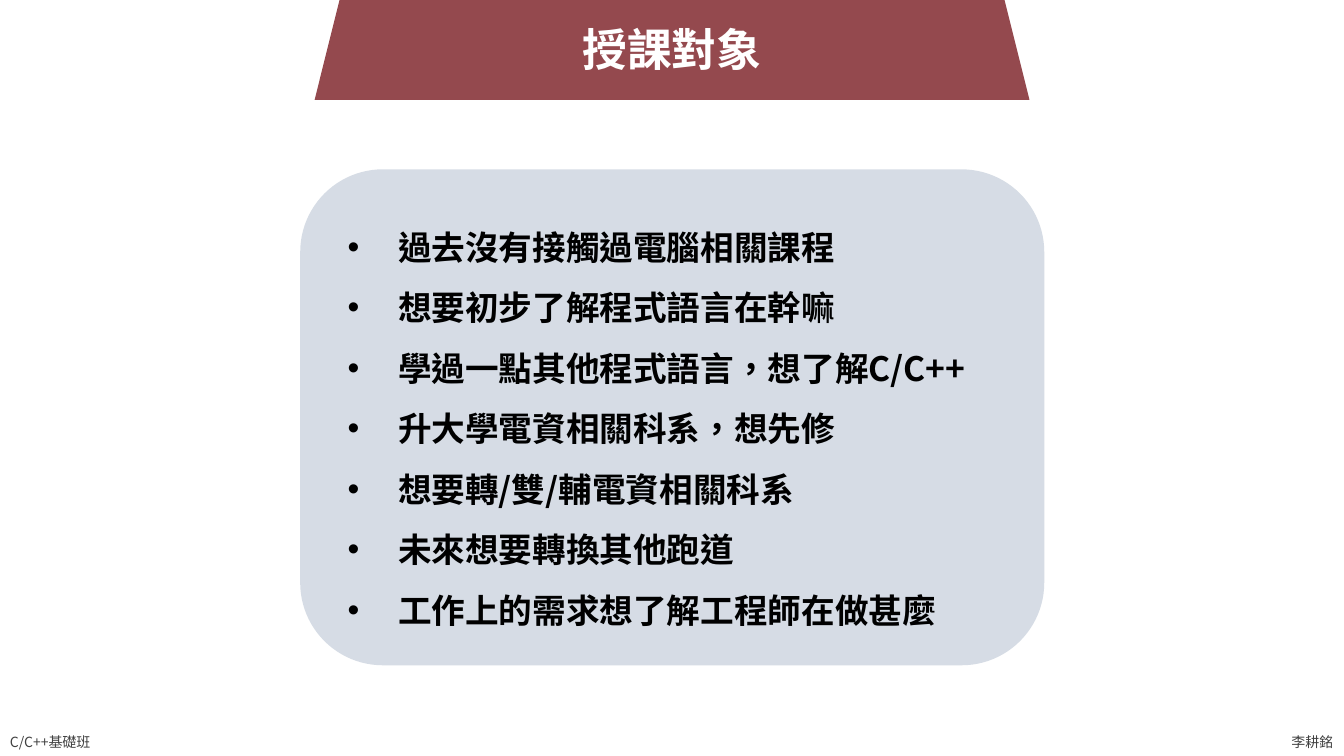
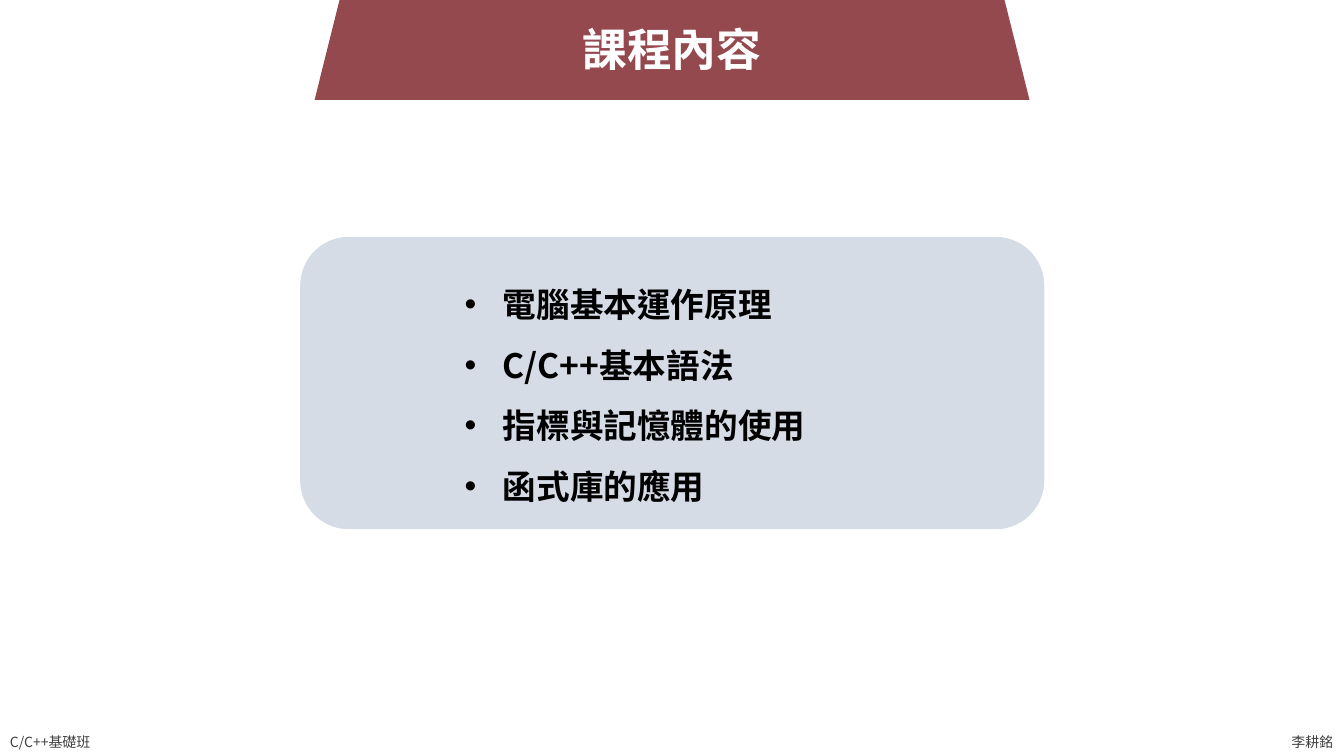
"""Build two course slides: who the class is for and what it covers."""
from dataclasses import dataclass

from lxml import etree
from pptx import Presentation
from pptx import util as u
from pptx.dml.color import RGBColor
from pptx.enum import shapes, text
from pptx.oxml.ns import qn

WIDE, HIGH = u.Inches(13.33), u.Inches(7.5)
FONT = "Noto Sans CJK TC"
RED = RGBColor(0x94, 0x49, 0x4E)
PALE = RGBColor(0xD6, 0xDC, 0xE5)
WHITE = RGBColor(0xFF, 0xFF, 0xFF)
BLACK = RGBColor(0x00, 0x00, 0x00)
GREY = RGBColor(0x40, 0x40, 0x40)
KIND = shapes.MSO_SHAPE


@dataclass(frozen=True)
class Box:
    """A place given in percent of the slide's width and height."""
    left: float
    top: float
    width: float
    height: float

    def place(self) -> tuple[int, int, int, int]:
        """Return left, top, width and height as lengths."""
        return (int(WIDE * self.left / 100), int(HIGH * self.top / 100),
                int(WIDE * self.width / 100), int(HIGH * self.height / 100))


@dataclass(frozen=True)
class Style:
    """The look of a piece of text."""
    size: int
    color: RGBColor
    bold: bool = False


@dataclass(frozen=True)
class Page:
    """The title, the card and the list of one slide."""
    title: str
    card: Box
    area: Box
    hang: float
    lines: tuple[str, ...]


HEAD = Style(32, WHITE, True)
BODY = Style(24, BLACK, True)
NOTE = Style(10, GREY)
BAND = Box(23.41, -3.07, 53.19, 16.27)
TITLE = Box(42.5, 2.27, 15, 8.53)
FEET = (("C/C++基礎班", Box(0, 96.4, 8.03, 3.6)),
        ("李耕銘", Box(95.35, 96.4, 4.65, 3.6)))

PAGES = (
    Page("授課對象", Box(22.34, 22.4, 55.36, 65.6),
         Box(25.13, 26.67, 49.81, 56.93), 0.5,
         ("過去沒有接觸過電腦相關課程", "想要初步了解程式語言在幹嘛",
          "學過一點其他程式語言，想了解C/C++", "升大學電資相關科系，想先修",
          "想要轉/雙/輔電資相關科系", "未來想要轉換其他跑道",
          "工作上的需求想了解工程師在做甚麼")),
    Page("課程內容", Box(22.34, 31.33, 55.36, 38.67),
         Box(33.83, 34.27, 32.33, 32.67), 0.38,
         ("電腦基本運作原理", "C/C++基本語法", "指標與記憶體的使用", "函式庫的應用")),
)


def paint(slide, kind: KIND, box: Box, color: RGBColor) -> None:
    """Draw a plain filled shape."""
    shape = slide.shapes.add_shape(kind, *box.place())
    shape.shadow.inherit = False
    shape.fill.solid()
    shape.fill.fore_color.rgb = color
    shape.line.fill.background()


def write(slide, words: str, box: Box, style: Style, wrap: bool = False):
    """Add a styled text box and return its frame."""
    frame = slide.shapes.add_textbox(*box.place()).text_frame
    frame.word_wrap = wrap
    frame.auto_size = text.MSO_AUTO_SIZE.SHAPE_TO_FIT_TEXT
    frame.text = words
    for para in frame.paragraphs:
        for run in para.runs:
            font = run.font
            font.name, font.size = FONT, u.Pt(style.size)
            font.bold, font.color.rgb = style.bold, style.color
            props = run._r.get_or_add_rPr()
            props.set("lang", "zh-TW")
            etree.SubElement(props, qn("a:ea"), typeface=FONT)
    return frame


def bullet(para, hang: float) -> None:
    """Give a paragraph a hanging bullet and open line spacing."""
    para.line_spacing = 1.5
    props = para._p.get_or_add_pPr()
    props.set("marL", str(u.Inches(hang)))
    props.set("indent", str(-u.Inches(hang)))
    etree.SubElement(props, qn("a:buFont"), typeface="Arial")
    etree.SubElement(props, qn("a:buChar"), char="•")


def build(deck, page: Page) -> None:
    """Add one slide to the deck."""
    slide = deck.slides.add_slide(deck.slide_layouts[6])
    paint(slide, KIND.ROUNDED_RECTANGLE, page.card, PALE)
    paint(slide, KIND.TRAPEZOID, BAND, RED)
    title = write(slide, page.title, TITLE, HEAD)
    title.paragraphs[0].alignment = text.PP_ALIGN.CENTER
    for words, box in FEET:
        write(slide, words, box, NOTE)
    items = write(slide, "\n".join(page.lines), page.area, BODY, True)
    for para in items.paragraphs:
        bullet(para, page.hang)


def main() -> None:
    """Build and save the deck."""
    deck = Presentation()
    deck.slide_width, deck.slide_height = WIDE, HIGH
    for page in PAGES:
        build(deck, page)
    deck.save("out.pptx")


if __name__ == "__main__":
    main()
